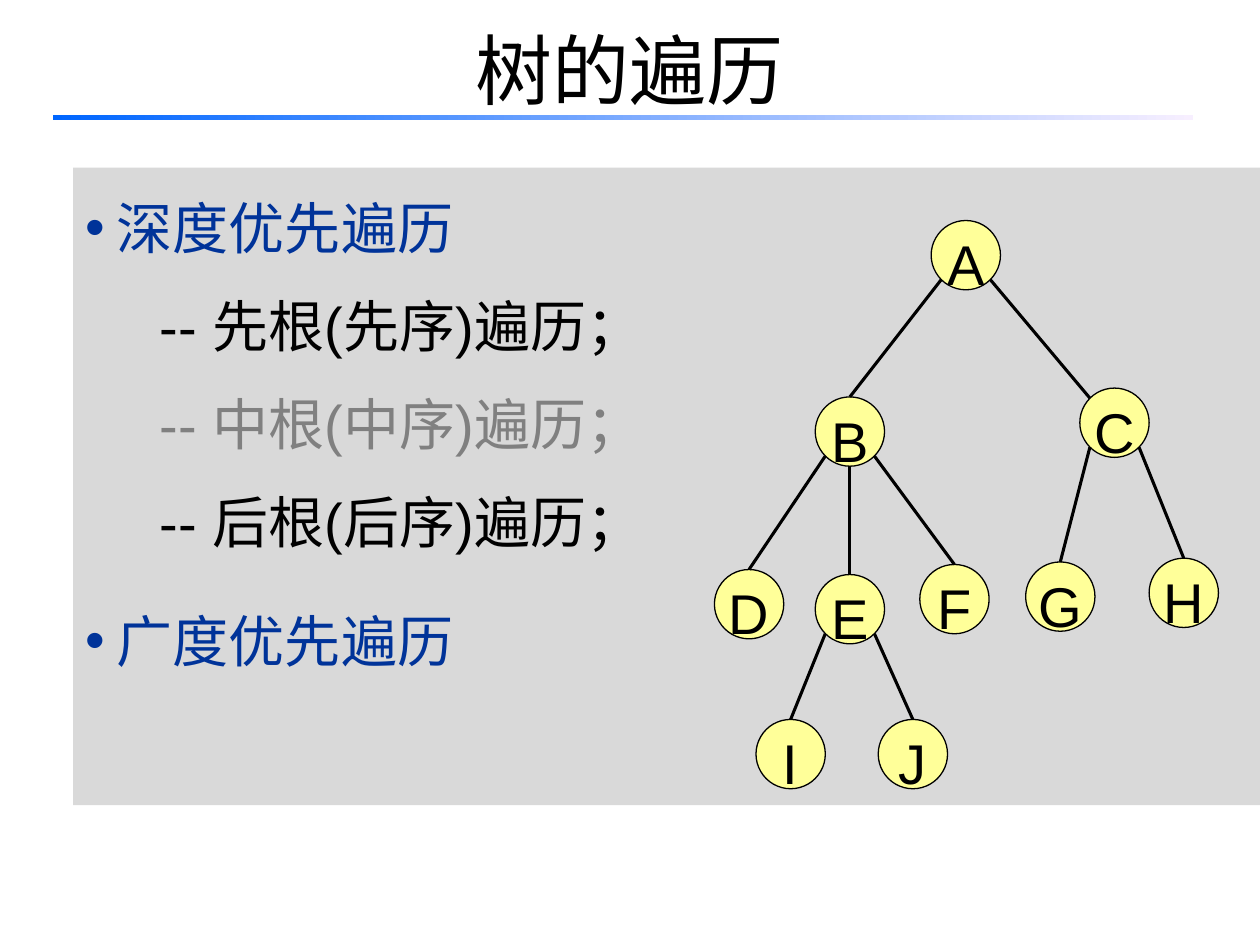
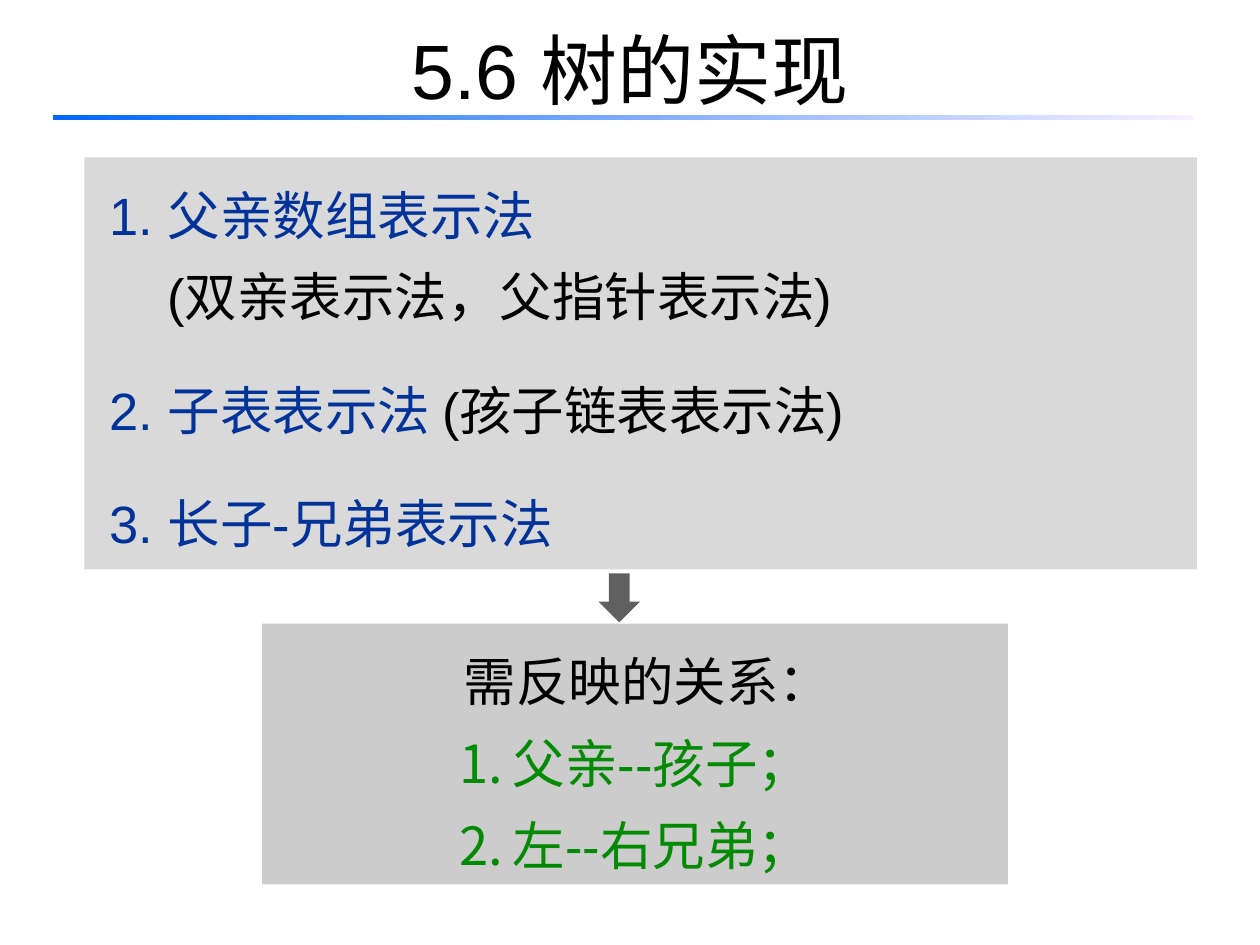
from dataclasses import dataclass
from typing import NamedTuple

import pptx
import pptx.dml.color
import pptx.enum.dml
import pptx.enum.shapes
import pptx.enum.text
import pptx.oxml
import pptx.oxml.ns
import pptx.oxml.xmlchemy
import pptx.util
from pptx.util import Inches

LATIN_FONT = "Arial"
CHINESE_FONT = "Noto Sans CJK SC"
BLACK = "000000"
BLUE = "003399"
GRAY = "808080"
GREEN = "008A00"
PANEL = "D9D9D9"
RESULT_PANEL = "CCCCCC"
ARROW = "606060"
NODE_FILL = "FFFF99"
RULE_START = "0066FF"
RULE_END = "F7EFFF"

NODE_SIZE = 0.55
NODE_RADIUS = NODE_SIZE / 2
DIAGONAL = NODE_RADIUS * 0.71

SHAPES = pptx.enum.shapes.MSO_SHAPE
ANCHOR = pptx.enum.text.MSO_ANCHOR
ALIGN = pptx.enum.text.PP_ALIGN


class Box(NamedTuple):
    left: float
    top: float
    width: float
    height: float


class Span(NamedTuple):
    text: str
    color: str = BLACK


@dataclass(frozen=True)
class Line:
    spans: tuple[Span, ...]
    margin: float = 0
    hanging: float = 0
    space_before: float = 0
    spacing: float = 1.3
    bullet: str = ""
    centered: bool = False


class Node(NamedTuple):
    name: str
    left: float
    top: float


class Edge(NamedTuple):
    parent: str
    child: str
    side: int
    enters_top: bool = True


NODES = (
    Node("A", 7.39, 1.75),
    Node("B", 6.47, 3.15),
    Node("C", 8.57, 3.08),
    Node("D", 5.67, 4.52),
    Node("E", 6.47, 4.56),
    Node("F", 7.3, 4.48),
    Node("G", 8.14, 4.46),
    Node("H", 9.12, 4.43),
    Node("I", 6, 5.71),
    Node("J", 6.97, 5.71),
)
EDGES = (
    Edge("A", "B", -1),
    Edge("A", "C", 1, enters_top=False),
    Edge("B", "D", -1),
    Edge("B", "E", 0),
    Edge("B", "F", 1),
    Edge("C", "G", -1),
    Edge("C", "H", 1),
    Edge("E", "I", -1),
    Edge("E", "J", 1),
)


def rgb(color: str) -> pptx.dml.color.RGBColor:
    return pptx.dml.color.RGBColor.from_string(color)


def add_element(parent, tag: str, **attributes: str) -> None:
    element = pptx.oxml.xmlchemy.OxmlElement(tag)
    for name, value in attributes.items():
        element.set(name, value)
    parent.append(element)


def place(box: Box) -> list[int]:
    return [Inches(length) for length in box]


def add_shape(slide, kind, box: Box, fill: str):
    shape = slide.shapes.add_shape(kind, *place(box))
    shape.shadow.inherit = False
    shape.fill.solid()
    shape.fill.fore_color.rgb = rgb(fill)
    shape.line.fill.background()
    return shape


def add_bullet(properties, bullet: str) -> None:
    if bullet == "1.":
        add_element(properties, "a:buFont", typeface=CHINESE_FONT)
        add_element(properties, "a:buAutoNum", type="arabicPeriod")
    elif bullet:
        add_element(properties, "a:buFont", typeface=LATIN_FONT)
        add_element(properties, "a:buChar", char=bullet)


def write_lines(shape, lines: tuple[Line, ...], size: int, anchor=ANCHOR.TOP,
                wrap: bool = True) -> None:
    frame = shape.text_frame
    frame.word_wrap = wrap
    frame.vertical_anchor = anchor
    for index, line in enumerate(lines):
        paragraph = frame.add_paragraph() if index else frame.paragraphs[0]
        paragraph.alignment = ALIGN.CENTER if line.centered else ALIGN.LEFT
        paragraph.line_spacing = line.spacing
        if line.space_before:
            paragraph.space_before = pptx.util.Pt(line.space_before)
        properties = paragraph._p.get_or_add_pPr()
        properties.set("marL", str(Inches(line.margin)))
        properties.set("indent", str(-Inches(line.hanging)))
        add_bullet(properties, line.bullet)
        for span in line.spans:
            run = paragraph.add_run()
            run.text = span.text
            run.font.size = pptx.util.Pt(size)
            run.font.color.rgb = rgb(span.color)
            run.font.name = LATIN_FONT
            add_element(run._r.get_or_add_rPr(), "a:ea", typeface=CHINESE_FONT)


def add_titled_slide(presentation, title: str):
    slide = presentation.slides.add_slide(presentation.slide_layouts[6])
    title_box = slide.shapes.add_textbox(*place(Box(0.5, -0.08, 9, 1.25)))
    title_line = Line((Span(title),), spacing=1.0, centered=True)
    write_lines(title_box, (title_line,), 44, ANCHOR.MIDDLE)
    rule = add_shape(slide, SHAPES.RECTANGLE, Box(0.42, 0.91, 9.05, 0.04), RULE_START)
    rule.fill.gradient()
    rule.fill.gradient_angle = 0
    for stop, color in zip(rule.fill.gradient_stops, (RULE_START, RULE_END)):
        stop.color.rgb = rgb(color)
    return slide


def add_panel(slide, box: Box, fill: str, lines: tuple[Line, ...], size: int) -> None:
    panel = add_shape(slide, SHAPES.RECTANGLE, box, fill)
    write_lines(panel, lines, size)


def add_node(slide, node: Node):
    circle = add_shape(slide, SHAPES.OVAL,
                       Box(node.left, node.top, NODE_SIZE, NODE_SIZE), NODE_FILL)
    circle.line.color.rgb = rgb(BLACK)
    circle.line.width = pptx.util.Pt(0.75)
    label = Line((Span(node.name),), spacing=1.25, centered=True)
    write_lines(circle, (label,), 32, ANCHOR.MIDDLE, wrap=False)
    return circle


def add_edge(slide, edge: Edge, parent: Node, child: Node, child_circle) -> None:
    drop = DIAGONAL if edge.side else NODE_RADIUS
    start_x = parent.left + NODE_RADIUS + edge.side * DIAGONAL
    start_y = parent.top + NODE_RADIUS + drop
    end_x = child.left + NODE_RADIUS - edge.side * DIAGONAL
    end_y = child.top + NODE_RADIUS - DIAGONAL
    connector = slide.shapes.add_connector(
        pptx.enum.shapes.MSO_CONNECTOR.STRAIGHT,
        *place(Box(start_x, start_y, end_x, end_y)))
    if edge.enters_top:
        connector.end_connect(child_circle, 0)
    connector.line.color.rgb = rgb(BLACK)
    connector.line.width = pptx.util.Pt(1.75)
    add_element(connector._element.spPr, "a:effectLst")


def add_tree(slide) -> None:
    nodes = {node.name: node for node in NODES}
    circles = {node.name: add_node(slide, node) for node in NODES}
    for edge in EDGES:
        add_edge(slide, edge, nodes[edge.parent], nodes[edge.child], circles[edge.child])


def strategy(text: str, space_before: float = 0) -> Line:
    return Line((Span(text, BLUE),), 0.25, 0.25, space_before, bullet="•")


def order(text: str, color: str = BLACK) -> Line:
    return Line((Span(f"-- {text}遍历；", color),), 0.59, space_before=6)


def relation(text: str) -> Line:
    return Line((Span(text, GREEN),), 0.42, 0.42, bullet="1.", centered=True)


def build_traversal(presentation) -> None:
    slide = add_titled_slide(presentation, "树的遍历")
    lines = (
        strategy("深度优先遍历"),
        order("先根(先序)"),
        order("中根(中序)", GRAY),
        order("后根(后序)"),
        strategy("广度优先遍历", 18),
    )
    add_panel(slide, Box(0.58, 1.33, 9.42, 5.06), PANEL, lines, 32)
    add_tree(slide)


def build_implementation(presentation) -> None:
    slide = add_titled_slide(presentation, "5.6 树的实现")
    methods = (
        Line((Span("1. 父亲数组表示法", BLUE),), 0.1),
        Line((Span("(双亲表示法，父指针表示法)"),), 0.56),
        Line((Span("2. 子表表示法 ", BLUE), Span("(孩子链表表示法)")), 0.1, space_before=18),
        Line((Span("3. 长子-兄弟表示法", BLUE),), 0.1, space_before=18),
    )
    relations = (
        Line((Span("需反映的关系："),), 0.2, centered=True),
        relation("父亲--孩子；"),
        relation("左--右兄弟；"),
    )
    add_panel(slide, Box(0.67, 1.25, 8.83, 3.27), PANEL, methods, 30)
    add_panel(slide, Box(2.08, 4.95, 5.92, 2.07), RESULT_PANEL, relations, 30)
    add_shape(slide, SHAPES.DOWN_ARROW, Box(4.75, 4.55, 0.33, 0.39), ARROW)


def main() -> None:
    presentation = pptx.Presentation()
    presentation.slide_width = Inches(10)
    presentation.slide_height = Inches(7.5)
    build_traversal(presentation)
    build_implementation(presentation)
    presentation.save("out.pptx")


if __name__ == "__main__":
    main()
